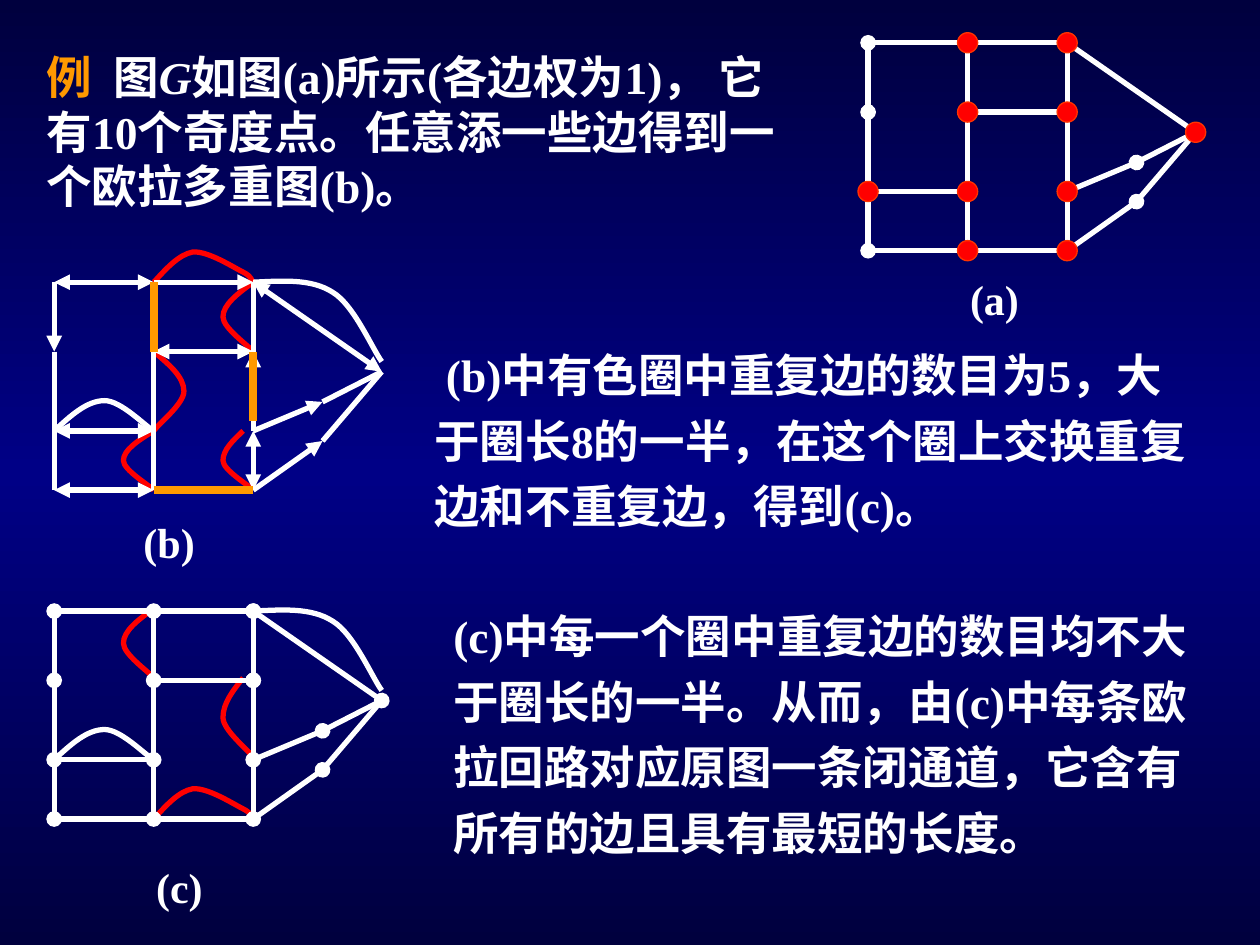
from copy import deepcopy

from pptx import Presentation
from pptx.dml.color import RGBColor
from pptx.enum.shapes import MSO_CONNECTOR as Link, MSO_SHAPE as Preset
from pptx.enum.text import MSO_AUTO_SIZE as Fit
from pptx.oxml.ns import qn
from pptx.oxml.xmlchemy import OxmlElement as Element
from pptx.util import Inches, Pt

WHITE = RGBColor(0xFF, 0xFF, 0xFF)
ORANGE = RGBColor(0xFF, 0x99, 0x00)
RED = RGBColor(0xFF, 0x00, 0x00)
RED_EDGE = RGBColor(0xFF, 0x33, 0x00)
NAVY = RGBColor(0x00, 0x00, 0x3E)
BLUE = RGBColor(0x00, 0x00, 0x86)

COLUMNS = [0, 0.79, 1.58]
ROWS = [0, 0.55, 1.18, 1.65]
NODES = {(c, r): (x, y) for c, x in enumerate(COLUMNS) for r, y in enumerate(ROWS)}
NODES.update(apex=(2.6, 0.71), upper=(2.13, 0.95), lower=(2.13, 1.26))
EDGES = [
    ((0, 0), (1, 0), "both"), ((1, 0), (2, 0), "tail"),
    ((1, 1), (2, 1), "both"), ((0, 2), (1, 2), "both"),
    ((1, 0), (1, 1), ""), ((0, 0), (0, 1), "tail"),
    ((0, 1), (0, 2), ""), ((1, 1), (1, 2), ""),
    ((0, 2), (0, 3), ""), ((1, 2), (1, 3), ""),
    ((0, 3), (1, 3), "both"), ((2, 0), (2, 1), ""),
    ((2, 1), (2, 2), "head"), ((1, 3), (2, 3), ""),
    ((2, 2), (2, 3), "both"), ((2, 0), "apex", "both"),
    ((2, 2), "upper", "tail"), ("upper", "apex", ""),
    ((2, 3), "lower", "tail"), ("lower", "apex", ""),
]
ODD_NODES = [(1, 0), (2, 0), (2, 1), (1, 1), (1, 3), (0, 2), (1, 2), "apex", (2, 2), (2, 3)]

BUMP = [(0, 0), (0.1, -0.11), (0.2, -0.22), (0.31, -0.24), (0.43, -0.25),
        (0.63, -0.12), (0.71, -0.08), (0.79, -0.04), (0.77, -0.01), (0.79, 0)]
SWEEP = [(0, 0), (0.23, -0.01), (0.46, -0.03), (0.63, 0.08),
         (0.8, 0.18), (0.95, 0.54), (1.02, 0.63)]
ARCH = [(0, 0), (0.13, -0.12), (0.26, -0.24), (0.4, -0.24),
        (0.53, -0.24), (0.72, -0.04), (0.79, 0)]
CURVES_B = [((1, 2), (1, 3), -1, 0), ((1, 1), (1, 2), 1, 0),
            ((2, 0), (2, 1), -1, 0), ((2, 2), (2, 3), -1, 0.08)]
CURVES_C = [((1, 0), (1, 1), -1, 0), ((2, 1), (2, 2), -1, 0.08)]


def add_text(shapes, box, runs, size=26, spacing=None, indent=0, tab=None):
    left, top, width, height = map(Inches, box)
    frame = shapes.add_textbox(left, top, width, height).text_frame
    frame.word_wrap = True
    frame.auto_size = Fit.SHAPE_TO_FIT_TEXT
    para = frame.paragraphs[0]
    if spacing:
        para.line_spacing = spacing
    properties = para._p.get_or_add_pPr()
    if indent:
        properties.set("indent", str(Inches(indent)))
    if tab:
        stops = Element("a:tabLst")
        stop = Element("a:tab")
        stop.set("pos", str(Inches(tab)))
        stop.set("algn", "l")
        stops.append(stop)
        properties.append(stops)
    for text, color, italic in runs:
        span = para.add_run()
        span.text = text
        style = {"name": "Times New Roman", "size": Pt(size), "bold": True, "italic": italic}
        for name, value in style.items():
            setattr(span.font, name, value)
        span.font.color.rgb = color


def add_edge(shapes, origin, start, end, ends="", mark="", color=WHITE, width=3):
    points = [Inches(o + d) for node in (start, end) for o, d in zip(origin, node)]
    edge = shapes.add_connector(Link.STRAIGHT, *points)
    edge.line.color.rgb = color
    edge.line.width = Pt(width)
    properties = edge._element.spPr
    outline = properties.find(qn("a:ln"))
    for side in ("head", "tail"):
        if ends in (side, "both"):
            tip = Element(f"a:{side}End")
            tip.set("type", mark)
            outline.append(tip)
    properties.append(Element("a:effectLst"))


def bend_segments(curve):
    outline = next(curve._element.iter(qn("a:path")))
    segments = outline.findall(qn("a:lnTo"))
    for first in range(0, len(segments), 3):
        bend = Element("a:cubicBezTo")
        for segment in segments[first:first + 3]:
            bend.append(segment[0])
            outline.remove(segment)
        outline.append(bend)


def add_curve(shapes, origin, node, controls, color):
    points = [tuple(Inches(o + n + d) for o, n, d in zip(origin, node, point))
              for point in controls]
    builder = shapes.build_freeform(*points[0])
    builder.add_line_segments(points[1:], close=False)
    curve = builder.convert_to_shape()
    bend_segments(curve)
    curve.shadow.inherit = False
    curve.fill.background()
    curve.line.color.rgb = color
    curve.line.width = Pt(3)


def add_bulge(shapes, origin, start, end, side, lead):
    height = NODES[end][1] - NODES[start][1]
    across = [lead, (lead + 0.24) / 2, 0.24, 0.24, 0.24, 0.04, 0]
    down = [0, 0.16, 0.32, 0.5, 0.66, 0.91, 1]
    controls = [(side * x, height * y) for x, y in zip(across, down)]
    add_curve(shapes, origin, NODES[start], controls, RED)


def add_graph(page, origin, mark, bump=None, bulges=(), lift=0):
    shapes = page.shapes.add_group_shape().shapes
    for bulge in bulges:
        add_bulge(shapes, (origin[0], origin[1] - lift), *bulge)
    if bump:
        add_curve(shapes, origin, NODES[bump], BUMP, RED)
    for start, end, ends in EDGES:
        add_edge(shapes, origin, NODES[start], NODES[end], ends, mark)
    if bump:
        add_curve(shapes, origin, NODES[2, 0], SWEEP, WHITE)
        add_curve(shapes, origin, NODES[0, 2], ARCH, WHITE)
    return shapes


def add_graph_a(page, x, y):
    shapes = add_graph(page, (x, y), "oval")
    add_text(shapes, (x + 0.71, y + 1.78, 0.71, 0.5), [("(a)", WHITE, False)], 24)
    size = 0.16
    for node in ODD_NODES:
        across, down = NODES[node]
        dot = shapes.add_shape(Preset.OVAL, Inches(x + across - size / 2),
                               Inches(y + down - size / 2), Inches(size), Inches(size))
        dot.shadow.inherit = False
        dot.fill.solid()
        dot.fill.fore_color.rgb = RED
        dot.line.color.rgb = RED_EDGE
        dot.line.width = Pt(0.75)


def add_graph_b(page, x, y):
    shapes = add_graph(page, (x, y), "triangle", (1, 0), CURVES_B)
    for start, end in (((1, 0), (1, 1)), ((1, 3), (2, 3)), ((2, 1), (2, 2))):
        finish = (1.58, 1.1) if end == (2, 2) else NODES[end]
        add_edge(shapes, (x, y), NODES[start], finish, color=ORANGE, width=4.5)
    add_text(shapes, (x + 0.61, y + 1.81, 0.89, 0.5), [("(b)", WHITE, False)], 24)


def add_graph_c(page, x, y):
    shapes = add_graph(page, (x, y), "oval", (1, 3), CURVES_C, lift=0.02)
    add_text(shapes, (x + 0.71, y + 1.94, 1.28, 0.5), [("(c)", WHITE, False)], 24)


def paint_background(page):
    fill = page.background.fill
    fill.gradient()
    fill.gradient_angle = 270
    for stop, color, position in zip(fill.gradient_stops, (NAVY, BLUE), (0, 0.5)):
        stop.color.rgb = color
        stop.position = position
    stops = next(page._element.iter(qn("a:gsLst")))
    last = deepcopy(stops[0])
    last.set("pos", "100000")
    stops.append(last)


def main():
    deck = Presentation()
    deck.slide_width, deck.slide_height = Inches(10), Inches(7.5)
    page = deck.slides.add_slide(deck.slide_layouts[6])
    paint_background(page)
    add_text(page.shapes, (0.27, 0.34, 6.22, 1.4), [
        ("例\t", ORANGE, False), ("图", WHITE, False), ("G", WHITE, True),
        ("如图(a)所示(各边权为1)， 它有10个奇度点。任意添一些边得到一个欧拉多重图(b)。",
         WHITE, False)], tab=0.53)
    add_graph_b(page, 0.43, 2.24)
    add_text(page.shapes, (3.35, 2.62, 6.22, 1.66), [
        ("(b)中有色圈中重复边的数目为5，大于圈长8的一半，在这个圈上交换重复边和不重复边，得到(c)。",
         WHITE, False)], spacing=1.2, indent=0.09)
    add_text(page.shapes, (3.5, 4.69, 6.14, 2.18), [
        ("(c)中每一个圈中重复边的数目均不大于圈长的一半。从而，由(c)中每条欧拉回路对应原图一条闭通道，"
         "它含有所有的边且具有最短的长度。", WHITE, False)], spacing=1.2)
    add_graph_c(page, 0.43, 4.85)
    add_graph_a(page, 6.89, 0.34)
    deck.save("out.pptx")


if __name__ == "__main__":
    main()
